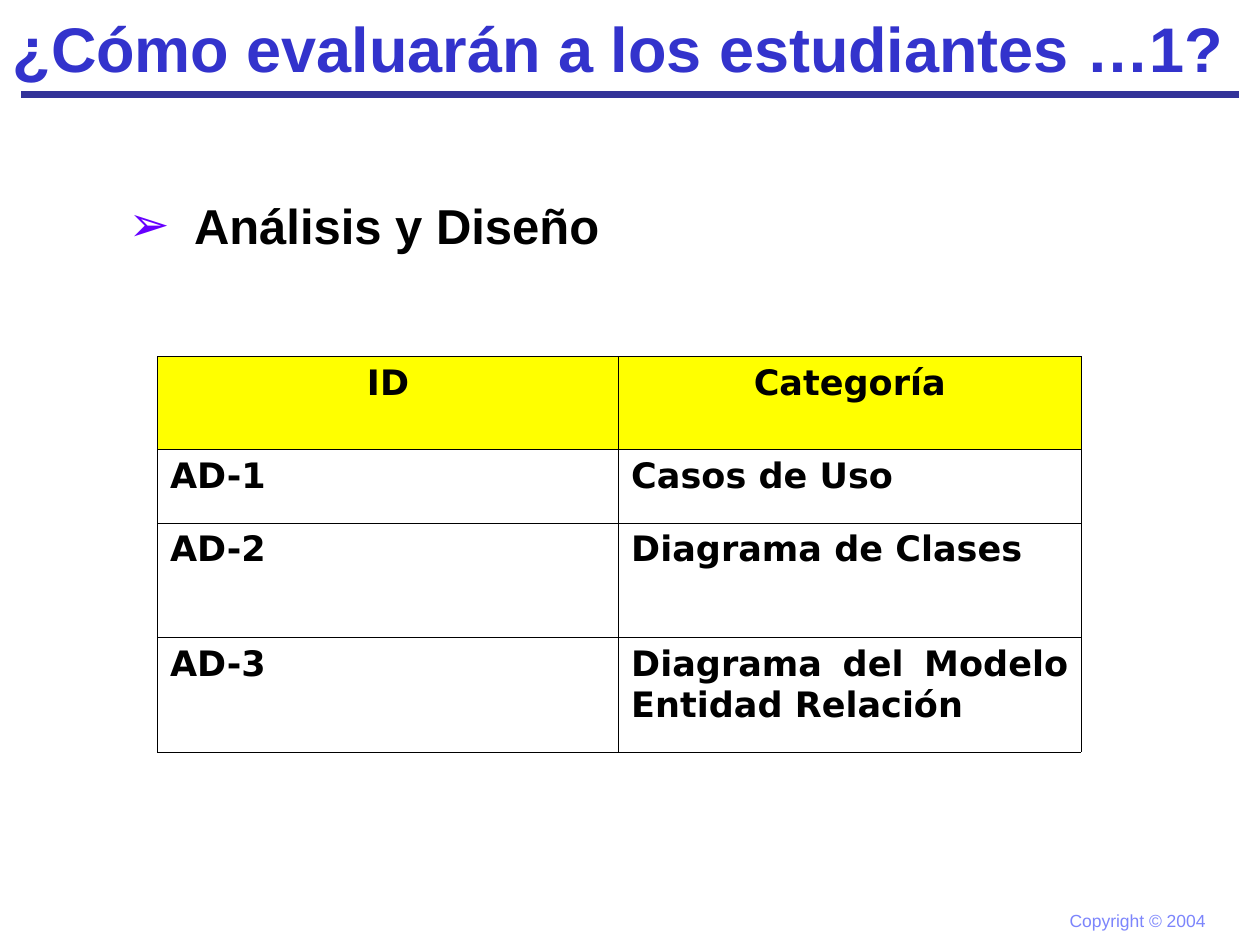
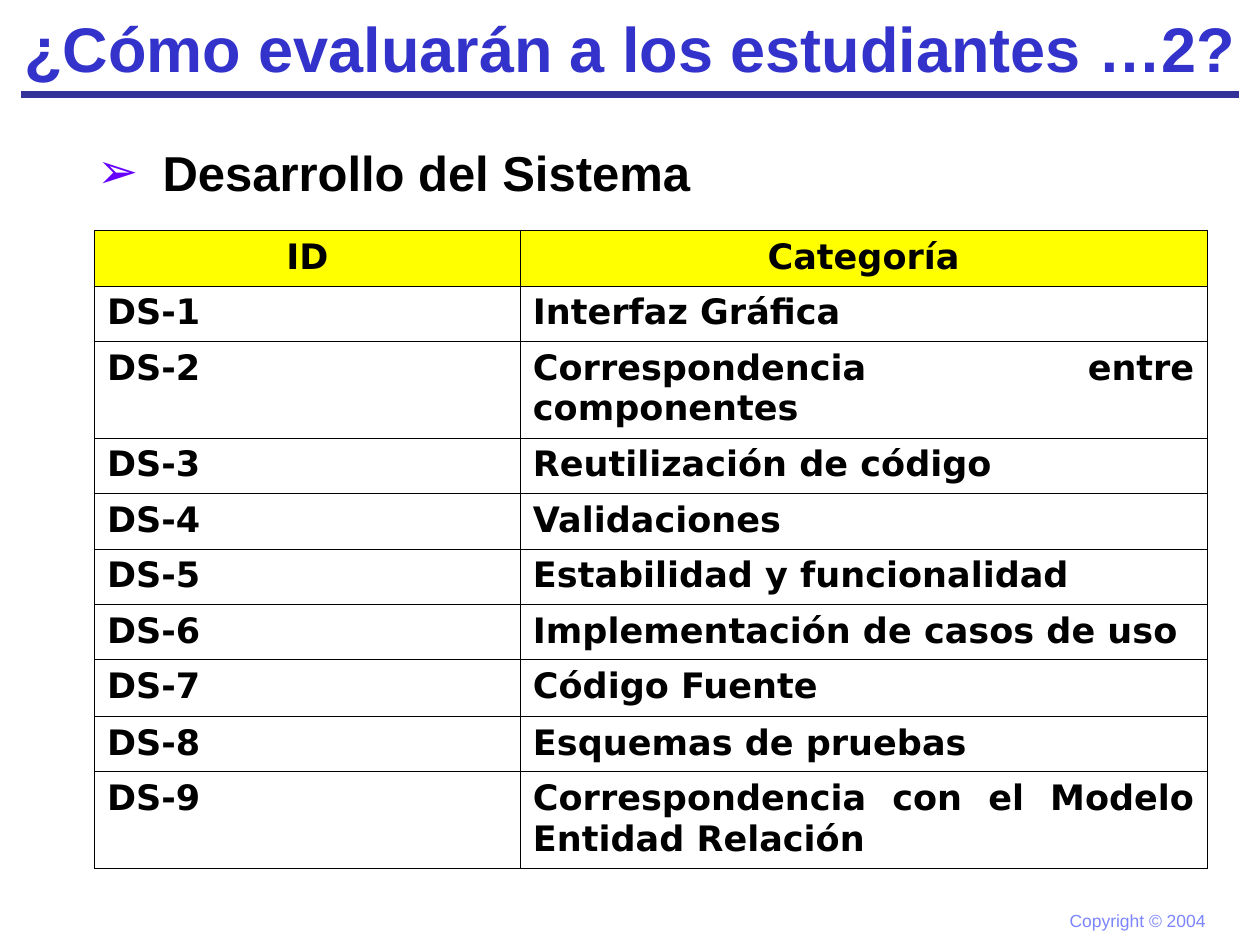
import pptx
import pptx.util
import pptx.dml.color
import pptx.enum.shapes
import pptx.enum.text
import pptx.oxml.ns
import lxml.etree

Inches = pptx.util.Inches
Pt = pptx.util.Pt
ALIGN = pptx.enum.text.PP_ALIGN
ANCHOR = pptx.enum.text.MSO_ANCHOR

COLORS = {
    "title": "3333CC",
    "rule": "333399",
    "footer": "7C85FC",
    "bullet": "6600FF",
    "text": "000000",
    "header": "FFFF00",
}

PAGES = [
    {
        "title": "¿Cómo evaluarán a los estudiantes …1?",
        "title_align": ALIGN.LEFT,
        "topic": "Análisis y Diseño",
        "topic_box": (0.92, 1.5, 4.08, 0.57),
        "table_corner": (1.25, 2.83),
        "columns": [3.66, 3.67],
        "heights": [0.74, 0.58, 0.91, 0.91],
        "prefix": "AD",
        "categories": [
            "Casos de Uso",
            "Diagrama de Clases",
            "Diagrama del Modelo Entidad Relación",
        ],
    },
    {
        "title": "¿Cómo evaluarán a los estudiantes …2?",
        "title_align": ALIGN.CENTER,
        "topic": "Desarrollo del Sistema",
        "topic_box": (0.67, 1.08, 5.75, 0.57),
        "table_corner": (0.75, 1.83),
        "columns": [3.38, 5.45],
        "heights": [0.44, 0.44, 0.75, 0.44, 0.44, 0.44, 0.44, 0.45, 0.44, 0.77],
        "prefix": "DS",
        "categories": [
            "Interfaz Gráfica",
            "Correspondencia entre componentes",
            "Reutilización de código",
            "Validaciones",
            "Estabilidad y funcionalidad",
            "Implementación de casos de uso",
            "Código Fuente",
            "Esquemas de pruebas",
            "Correspondencia con el Modelo Entidad Relación",
        ],
    },
]


def write(frame, text, size, color="text", font="Arial", bold=True,
          align=ALIGN.LEFT, anchor=ANCHOR.TOP, wrap=True, bullet=None):
    """Fill a text frame with one formatted paragraph."""
    frame.word_wrap = wrap
    frame.vertical_anchor = anchor
    para = frame.paragraphs[0]
    para.alignment = align
    para.space_before = Pt(0)
    if bullet:
        props = para._p.get_or_add_pPr()
        props.set("marL", str(Inches(0.52)))
        props.set("indent", str(-Inches(0.52)))
        bullet_color = add_xml(props, "a:buClr")
        add_xml(bullet_color, "a:srgbClr", val=COLORS["bullet"])
        add_xml(props, "a:buFont", typeface=font)
        add_xml(props, "a:buChar", char=bullet)
    span = para.add_run()
    span.text = text
    span.font.name = font
    span.font.size = Pt(size)
    span.font.bold = bold
    span.font.color.rgb = pptx.dml.color.RGBColor.from_string(COLORS[color])


def add_xml(parent, tag, **attributes):
    """Append a drawing element and return it."""
    return lxml.etree.SubElement(parent, pptx.oxml.ns.qn(tag), attributes)


deck = pptx.Presentation()
deck.slide_width = Inches(10)
deck.slide_height = Inches(7.5)

for content in PAGES:
    page = deck.slides.add_slide(deck.slide_layouts[1])
    title, topic = page.placeholders

    # Rule under the title
    rule = page.shapes.add_connector(
        pptx.enum.shapes.MSO_CONNECTOR.STRAIGHT,
        Inches(0.17), Inches(0.75), Inches(9.83), Inches(0.75))
    rule.line.width = Pt(4.5)
    rule.line.color.rgb = pptx.dml.color.RGBColor.from_string(COLORS["rule"])
    add_xml(rule._element.spPr, "a:effectLst")

    # Copyright footer
    footer = page.shapes.add_textbox(
        Inches(8.39), Inches(7.17), Inches(1.28), Inches(0.27))
    write(footer.text_frame, "Copyright © 2004", 10, color="footer",
          bold=False, wrap=False)

    # Title and topic
    for box, place in ((title, (0, 0, 10, 0.75)), (topic, content["topic_box"])):
        box.left, box.top, box.width, box.height = map(Inches, place)
        box.text_frame.auto_size = pptx.enum.text.MSO_AUTO_SIZE.NONE
    write(title.text_frame, content["title"], 36, color="title",
          align=content["title_align"], anchor=ANCHOR.MIDDLE)
    write(topic.text_frame, content["topic"], 28, bullet="➢")

    # Category table
    rows = [("ID", "Categoría")]
    for number, category in enumerate(content["categories"], 1):
        rows.append((f"{content['prefix']}-{number}", category))
    left, top = content["table_corner"]
    table = page.shapes.add_table(
        len(rows), 2, Inches(left), Inches(top),
        Inches(sum(content["columns"])), Inches(sum(content["heights"]))).table
    table.first_row = False
    table.horz_banding = False
    for column, width in zip(table.columns, content["columns"]):
        column.width = Inches(width)
    for row, height in zip(table.rows, content["heights"]):
        row.height = Inches(height)

    for row_index, texts in enumerate(rows):
        for column_index, text in enumerate(texts):
            cell = table.cell(row_index, column_index)
            if row_index == 0:
                align = ALIGN.CENTER
            elif (row_index, column_index) == (1, 1):
                align = ALIGN.LEFT
            else:
                align = ALIGN.JUSTIFY
            write(cell.text_frame, text, 20, font="DejaVu Sans", align=align)

            # Borders come before the fill in the cell properties
            props = cell._tc.get_or_add_tcPr()
            for side in ("a:lnL", "a:lnR", "a:lnT", "a:lnB"):
                border = add_xml(props, side, w=str(Pt(0.45)))
                add_xml(add_xml(border, "a:solidFill"), "a:srgbClr",
                        val=COLORS["text"])
            if row_index == 0:
                cell.fill.solid()
                cell.fill.fore_color.rgb = pptx.dml.color.RGBColor.from_string(
                    COLORS["header"])
            else:
                cell.fill.background()

deck.save("out.pptx")
